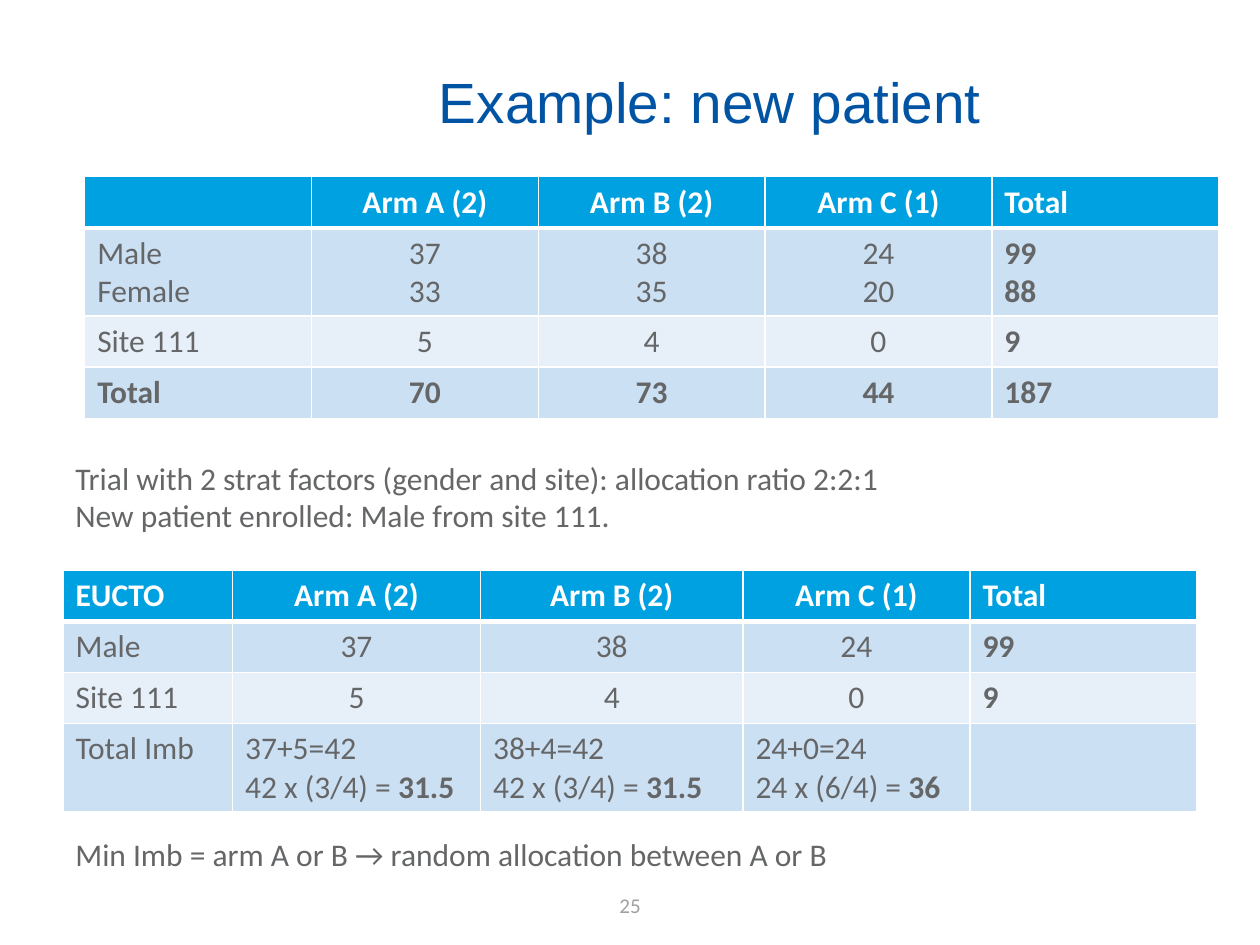
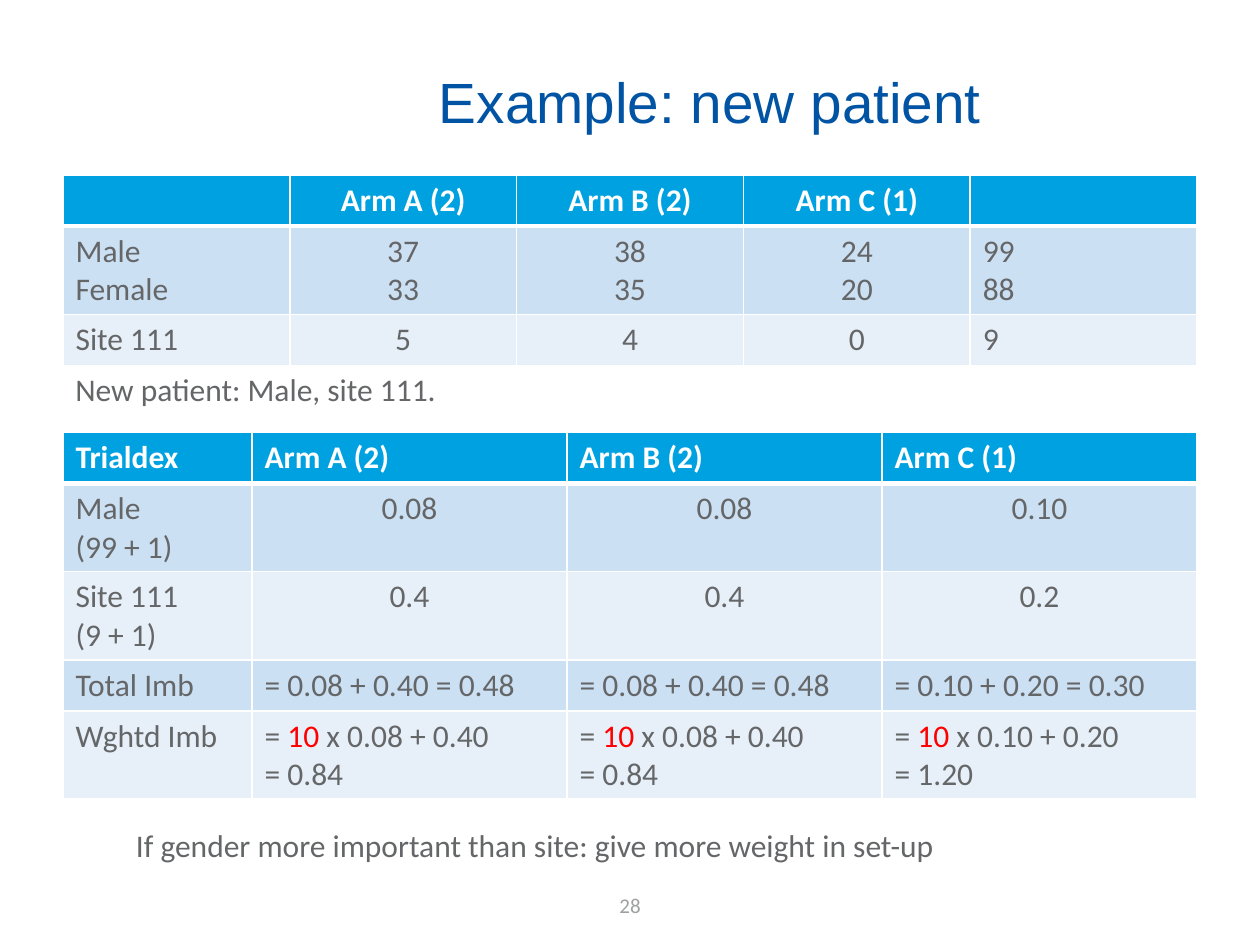
import pptx
import pptx.dml.color
import pptx.enum.text
import pptx.oxml.ns
import pptx.util
from lxml import etree

Pt = pptx.util.Pt
RGB = pptx.dml.color.RGBColor
ALIGN = pptx.enum.text.PP_ALIGN
MIDDLE = pptx.enum.text.MSO_ANCHOR.MIDDLE
qn = pptx.oxml.ns.qn

WHITE = RGB(0xFF, 0xFF, 0xFF)
NAVY = RGB(0x00, 0x54, 0xA3)
CYAN = RGB(0x00, 0xA1, 0xE0)
GREY = RGB(0x65, 0x66, 0x68)
PALE = RGB(0x9F, 0xA0, 0xA1)
RED = RGB(0xFF, 0x00, 0x00)
BANDS = [RGB(0xCC, 0xE0, 0xF3), RGB(0xE7, 0xF0, 0xF9)]

BODY = {"name": "Calibri", "size": Pt(18), "color": GREY, "bold": False}
HEAD = {**BODY, "color": WHITE, "bold": True}
TITLE = {**BODY, "name": "Arial", "size": Pt(32.4), "color": NAVY}
FOOT = {**BODY, "size": Pt(12), "color": PALE}
STRONG = {"bold": True}
ALERT = {"color": RED}

LEFT, WIDE = 36, 648
ROW, LINE = 29.2, 21.2
ARMS = ["Arm A (2)", "Arm B (2)", "Arm C (1)"]
GENDER = ["Male\nFemale", "37\n33", "38\n35", "24\n20"]
SITE = ["Site 111", "5", "4", "0"]


def style(font, look):
    for key, value in look.items():
        if key == "color":
            font.color.rgb = value
        else:
            setattr(font, key, value)


def write(frame, text, look, align=ALIGN.LEFT, accent=STRONG):
    for row, line in enumerate(text.split("\n")):
        para = frame.paragraphs[0] if row == 0 else frame.add_paragraph()
        para.alignment = align
        for part, piece in enumerate(line.split("*")):
            if piece:
                run = para.add_run()
                run.text = piece
                style(run.font, {**look, **(accent if part % 2 else {})})


def place(shape, box):
    for key, value in zip(("left", "top", "width", "height"), box):
        setattr(shape, key, Pt(value))


def head(slide, text, box):
    shape = slide.shapes.title
    place(shape, box)
    shape.text_frame.vertical_anchor = MIDDLE
    write(shape.text_frame, text, TITLE, ALIGN.CENTER)


def note(slide, text, box, look=BODY, align=ALIGN.LEFT):
    shape = slide.shapes.add_textbox(*map(Pt, box))
    shape.text_frame.word_wrap = True
    write(shape.text_frame, text, look, align)
    return shape


def edge(cell, row):
    props = cell._tc.get_or_add_tcPr()
    thick = {"T": row == 1, "B": row == 0}
    for side in "LRTB":
        width = 3 if thick.get(side) else 1
        line = etree.SubElement(props, qn(f"a:ln{side}"), w=str(Pt(width)))
        fill = etree.SubElement(line, qn("a:solidFill"))
        etree.SubElement(fill, qn("a:srgbClr"), val=str(WHITE))


def grid(slide, rows, cols, spot, mid, accent=STRONG):
    tall = [ROW + LINE * max(text.count("\n") for text in row) for row in rows]
    box = (*spot, sum(cols), sum(tall))
    table = slide.shapes.add_table(len(rows), len(cols), *map(Pt, box)).table
    table.horz_banding = False
    for col, width in zip(table.columns, cols):
        col.width = Pt(width)
    for r, texts in enumerate(rows):
        table.rows[r].height = Pt(tall[r])
        for c, text in enumerate(texts):
            cell = table.cell(r, c)
            edge(cell, r)
            cell.fill.solid()
            cell.fill.fore_color.rgb = BANDS[(r - 1) % 2] if r else CYAN
            align = ALIGN.CENTER if r in mid and 1 <= c <= 3 else ALIGN.LEFT
            write(cell.text_frame, text, BODY if r else HEAD, align, accent)


def page(deck, number):
    slide = deck.slides.add_slide(deck.slide_layouts[5])
    head(slide, "Example: new patient", (127.4, 37.4, 556.6, 40.3))
    foot = note(slide, number, (276, 502.6, 168, 28.8), FOOT, ALIGN.CENTER)
    foot.text_frame.vertical_anchor = MIDDLE
    return slide


def ratio(deck):
    slide = page(deck, "25")
    rows = [
        ["", *ARMS, "Total"],
        [*GENDER, "*99*\n*88*"],
        [*SITE, "*9*"],
        ["*Total*", "*70*", "*73*", "*44*", "*187*"],
    ]
    grid(slide, rows, [WIDE / 5] * 5, (48.4, 101), range(4))
    note(slide, "Trial with 2 strat factors (gender and site): allocation ratio 2:2:1\n"
         "New patient enrolled: Male from site 111.", (LEFT, 258.5, WIDE, 51))
    rows = [
        ["EUCTO", *ARMS, "Total"],
        ["Male", "37", "38", "24", "*99*"],
        [*SITE, "*9*"],
        ["Total Imb", "37+5=42\n42 x (3/4) = *31.5*",
         "38+4=42\n42 x (3/4) = *31.5*", "24+0=24\n24 x (6/4) = *36*", ""],
    ]
    cols = [96.9, 141.7, 150, 129.7, 129.7]
    grid(slide, rows, cols, (LEFT, 325.8), range(3))
    note(slide, "Min Imb = arm A or B → random allocation between A or B",
         (LEFT, 473.5, WIDE, 29))


def weight(deck):
    slide = page(deck, "28")
    rows = [["", *ARMS, ""], [*GENDER, "99\n88"], [*SITE, "9"]]
    grid(slide, rows, [WIDE / 5] * 5, (LEFT, 100), range(3))
    note(slide, "New patient: Male, site 111.", (LEFT, 207.6, WIDE, 29))
    rows = [
        ["Trialdex", *ARMS],
        ["Male\n(99 + 1)", "0.08", "0.08", "0.10"],
        ["Site 111\n(9 + 1)", "0.4", "0.4", "0.2"],
        ["Total Imb", *["= 0.08 + 0.40 = 0.48"] * 2, "= 0.10 + 0.20 = 0.30"],
        ["Wghtd Imb", *["= *10* x 0.08 + 0.40\n= 0.84"] * 2,
         "= *10* x 0.10 + 0.20\n= 1.20"],
    ]
    grid(slide, rows, [108, 180, 180, 180], (LEFT, 247), (1, 2), ALERT)
    note(slide, "If gender more important than site: give more weight in set-up",
         (70.6, 468.5, 613.4, 29))


def main():
    deck = pptx.Presentation()
    deck.slide_width, deck.slide_height = Pt(720), Pt(540)
    ratio(deck)
    weight(deck)
    deck.save("out.pptx")


if __name__ == "__main__":
    main()
